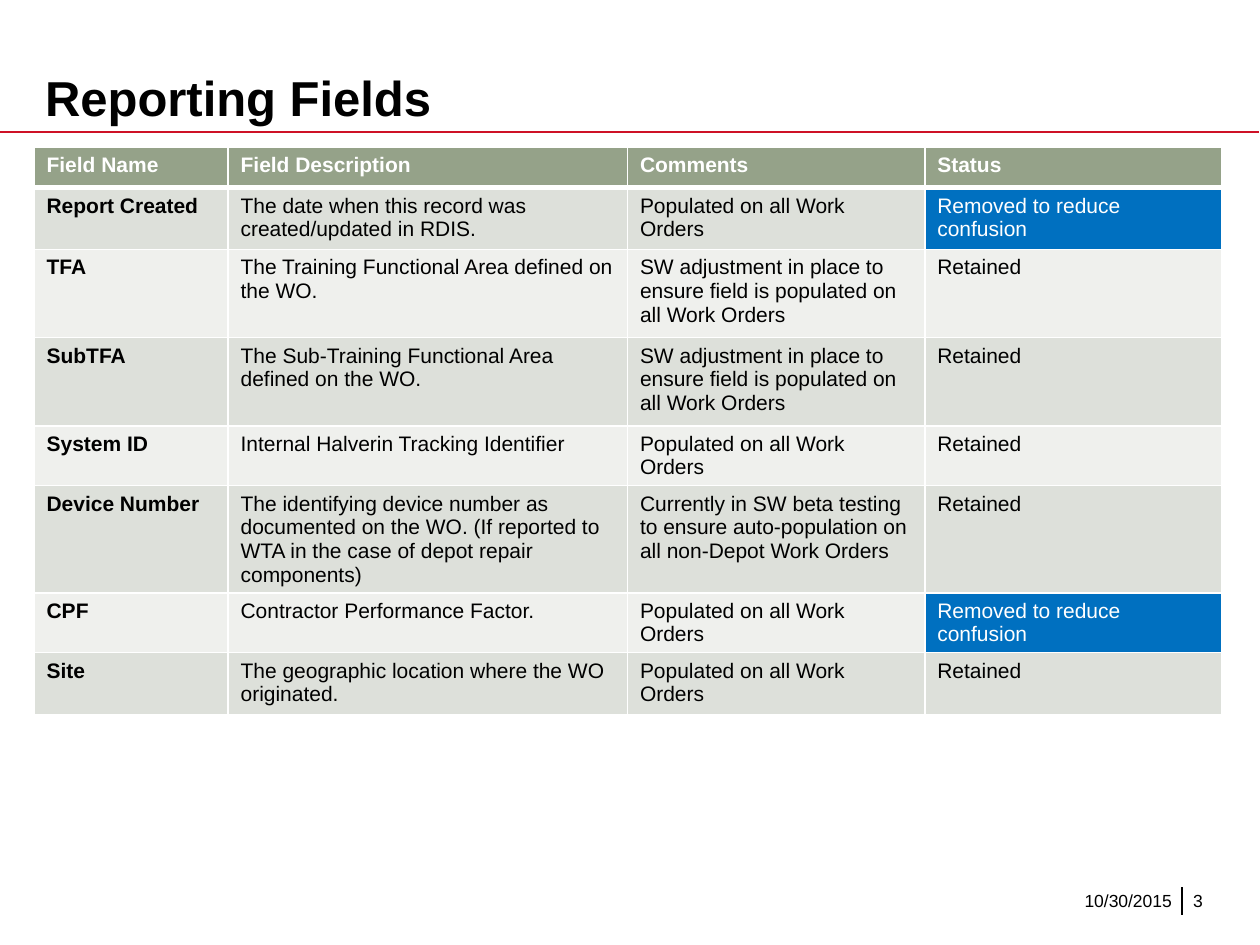
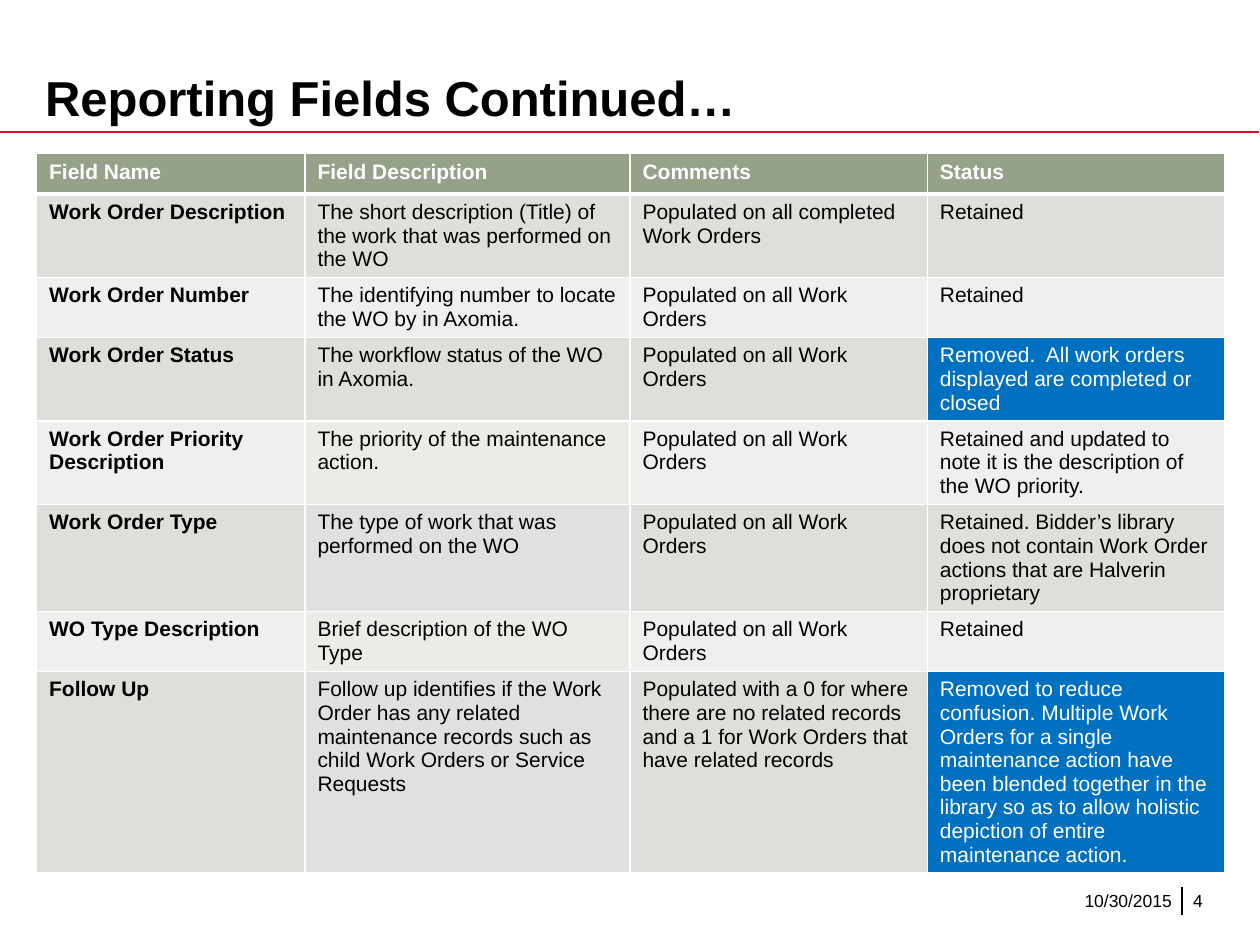
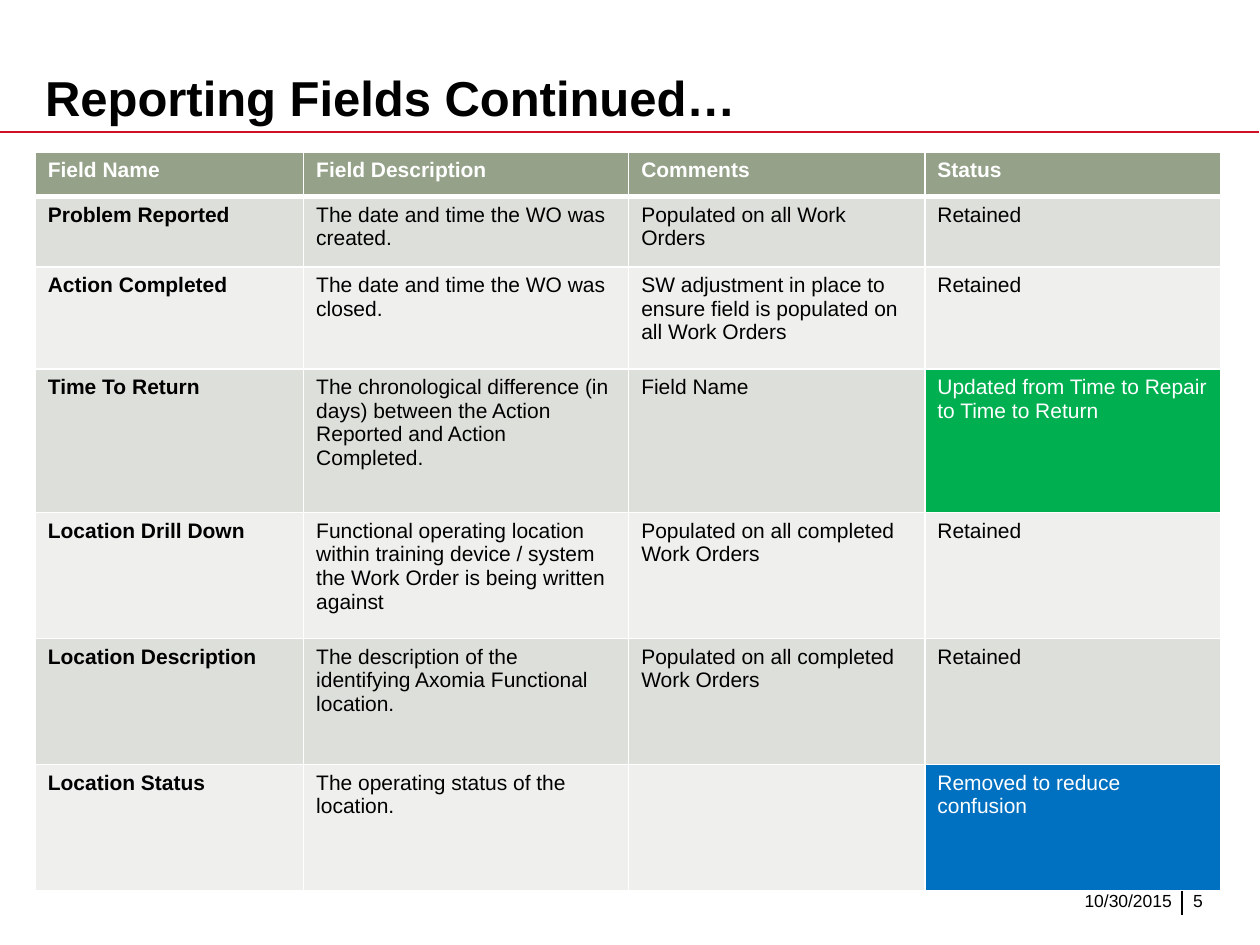
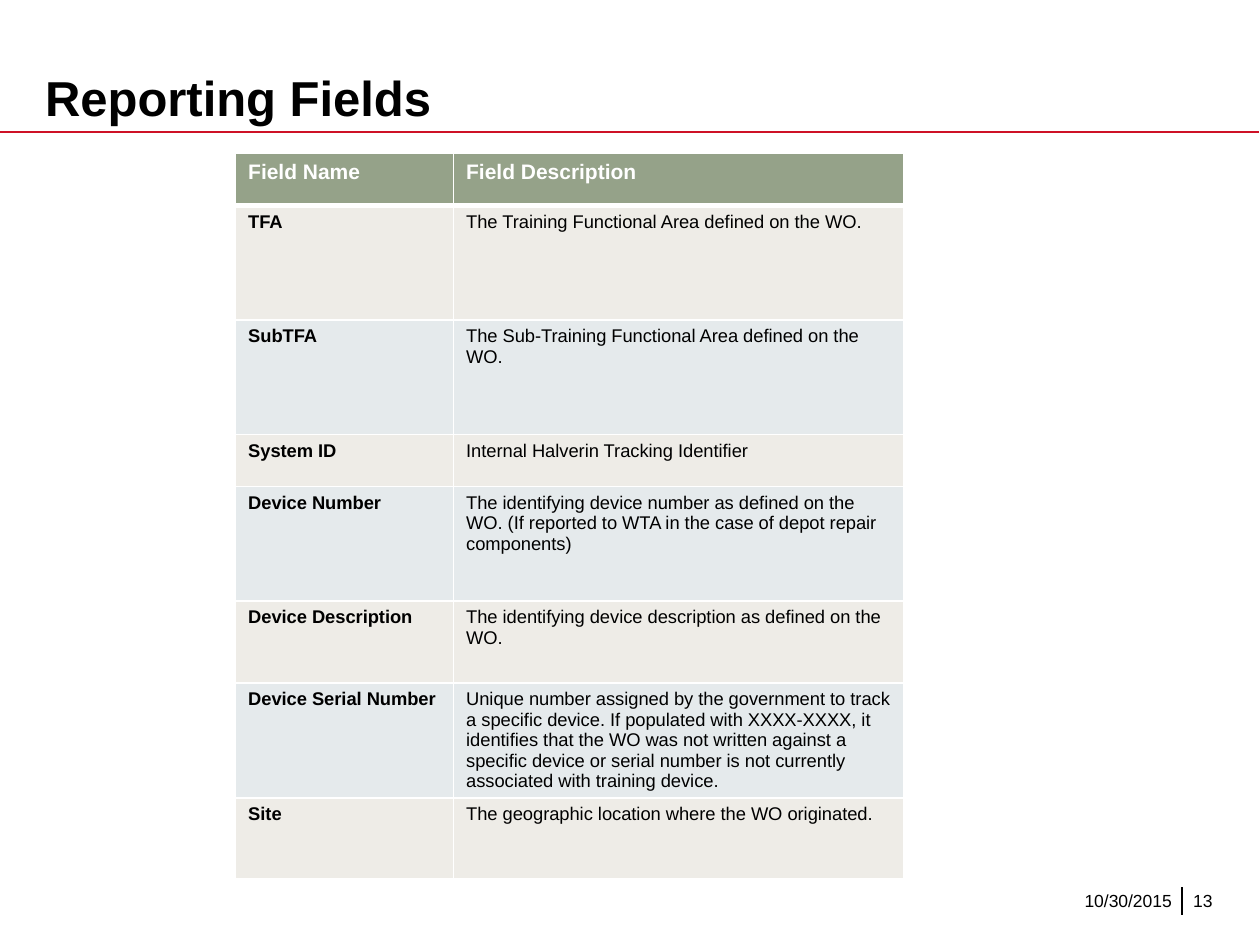
from lxml import etree
from pptx import Presentation
from pptx.dml.color import RGBColor
from pptx.enum.shapes import MSO_CONNECTOR as Connector
from pptx.enum.text import MSO_ANCHOR as Anchor, PP_ALIGN as Align
from pptx.oxml.ns import qn
from pptx.util import Inches, Pt

BLACK, WHITE, RED = "000000", "FFFFFF", "CE1126"
HEADER, BLUE, GREEN = "95A289", "0070C0", "00B050"
SAGE_BANDS = ("DDE0DA", "EFF0ED")
GREY_BANDS = ("E1E0E0", "EAECE7")
SAND_BANDS = ("EEECE7", "E5EAEC")
STATUS_FILLS = {"Removed": BLUE, "Updated": GREEN}
LINE_PITCH = {12: 13.5, 10.5: 11.7}

HEADINGS = ("Field Name", "Field Description", "Comments", "Status")
ALL_ORDERS = "Populated on all Work Orders"
COMPLETED_ORDERS = "Populated on all completed Work Orders"
ADJUSTMENT = "SW adjustment in place to ensure field is populated on all Work Orders"
RETAINED = "Retained"
REMOVED = "Removed to reduce confusion"

TFA = ("TFA", "The Training Functional Area defined on the WO.")
SUB_TFA = ("SubTFA", "The Sub-Training Functional Area defined on the WO.")
SYSTEM_ID = ("System ID", "Internal Halverin Tracking Identifier")
SITE = ("Site", "The geographic location where the WO originated.")

DEVICE_FIELDS = [
    ("Report Created", "The date when this record was created/updated in RDIS.", ALL_ORDERS, REMOVED),
    (*TFA, ADJUSTMENT, RETAINED),
    (*SUB_TFA, ADJUSTMENT, RETAINED),
    (*SYSTEM_ID, ALL_ORDERS, RETAINED),
    ("Device Number",
     "The identifying device number as documented on the WO. "
     "(If reported to WTA in the case of depot repair components)",
     "Currently in SW beta testing to ensure auto-population on all non-Depot Work Orders", RETAINED),
    ("CPF", "Contractor Performance Factor.", ALL_ORDERS, REMOVED),
    (*SITE, ALL_ORDERS, RETAINED),
]
ORDER_FIELDS = [
    ("Work Order Description", "The short description (Title) of the work that was performed on the WO",
     COMPLETED_ORDERS, RETAINED),
    ("Work Order Number", "The identifying number to locate the WO by in Axomia.", ALL_ORDERS, RETAINED),
    ("Work Order Status", "The workflow status of the WO in Axomia.", ALL_ORDERS,
     "Removed.  All work orders displayed are completed or closed"),
    ("Work Order Priority Description", "The priority of the maintenance action.", ALL_ORDERS,
     "Retained and updated to note it is the description of the WO priority."),
    ("Work Order Type", "The type of work that was performed on the WO", ALL_ORDERS,
     "Retained. Bidder’s library does not contain Work Order actions that are Halverin proprietary"),
    ("WO Type Description", "Brief description of the WO Type", ALL_ORDERS, RETAINED),
    ("Follow Up",
     "Follow up identifies if the Work Order has any related maintenance records "
     "such as child Work Orders or Service Requests",
     "Populated with a 0 for where there are no related records "
     "and a 1 for Work Orders that have related records",
     "Removed to reduce confusion. Multiple Work Orders for a single maintenance action have been "
     "blended together in the library so as to allow holistic depiction of entire maintenance action."),
]
TIME_AND_LOCATION_FIELDS = [
    ("Problem Reported", "The date and time the WO was created.", ALL_ORDERS, RETAINED),
    ("Action Completed", "The date and time the WO was closed.", ADJUSTMENT, RETAINED),
    ("Time To Return",
     "The chronological difference (in days) between the Action Reported and Action Completed.",
     "Field Name", "Updated from Time to Repair to Time to Return"),
    ("Location Drill Down",
     "Functional operating location within training device / system the Work Order is being written against",
     COMPLETED_ORDERS, RETAINED),
    ("Location Description", "The description of the identifying Axomia Functional location.",
     COMPLETED_ORDERS, RETAINED),
    ("Location Status", "The operating status of the location.", "", REMOVED),
]
FIELD_DEFINITIONS = [
    TFA,
    SUB_TFA,
    SYSTEM_ID,
    ("Device Number",
     "The identifying device number as defined on the WO. "
     "(If reported to WTA in the case of depot repair components)"),
    ("Device Description", "The identifying device description as defined on the WO."),
    ("Device Serial Number",
     "Unique number assigned by the government to track a specific device. "
     "If populated with XXXX-XXXX, it identifies that the WO was not written against a specific device "
     "or serial number is not currently associated with training device."),
    SITE,
]


def color(value):
    """Turn a hex string into a colour."""
    return RGBColor.from_string(value)


class Deck:
    """Holds the shared style and the current slide."""

    font = "Arial"
    date = "10/30/2015"

    def __init__(self):
        """Start an empty presentation of 10 by 7.5 inches."""
        self.presentation = Presentation()
        self.presentation.slide_width = Inches(10)
        self.presentation.slide_height = Inches(7.5)
        self.slide = None

    def add_slide(self, title, number):
        """Add a slide with its title, rule and footer."""
        self.slide = self.presentation.slides.add_slide(self.presentation.slide_layouts[6])
        self.line((0, 1.05), (9.99, 1.05), RED)
        self.line((9.38, 7.04), (9.38, 7.26), BLACK)
        self.text((0.26, 0.3, 6.52, 0.75), title, 28, bold=True, anchor=Anchor.BOTTOM)
        self.text((6.97, 6.95, 2.33, 0.4), self.date, 10, align=Align.RIGHT, sides=(0.1, 0))
        self.text((9.47, 6.95, 0.46, 0.4), str(number), 10, sides=(0, 0))

    def line(self, start, end, stroke):
        """Draw a thin straight line without a shadow."""
        points = [Inches(value) for value in (*start, *end)]
        connector = self.slide.shapes.add_connector(Connector.STRAIGHT, *points)
        connector.line.color.rgb = color(stroke)
        connector.line.width = Pt(1)
        etree.SubElement(connector._element.spPr, qn("a:effectLst"))

    def run(self, paragraph, text, size, ink=BLACK, bold=False):
        """Add one styled run to a paragraph."""
        run = paragraph.add_run()
        run.text = text
        run.font.name = self.font
        run.font.size = Pt(size)
        run.font.bold = bold
        run.font.color.rgb = color(ink)

    def text(self, box, text, size, bold=False, anchor=Anchor.MIDDLE, align=Align.LEFT, sides=(0.1, 0.1)):
        """Add a wrapped text box with one paragraph."""
        frame = self.slide.shapes.add_textbox(*map(Inches, box)).text_frame
        frame.word_wrap = True
        frame.vertical_anchor = anchor
        frame.margin_left, frame.margin_right = map(Inches, sides)
        frame.margin_top = frame.margin_bottom = Inches(0.05)
        paragraph = frame.paragraphs[0]
        paragraph.alignment = align
        self.run(paragraph, text, size, bold=bold)

    def borders(self, cell, top=1, bottom=1):
        """Give a cell white borders with widths in points."""
        properties = cell._tc.get_or_add_tcPr()
        for side, width in (("L", 1), ("R", 1), ("T", top), ("B", bottom)):
            border = etree.SubElement(properties, qn(f"a:ln{side}"), w=str(Pt(width)))
            fill = etree.SubElement(border, qn("a:solidFill"))
            etree.SubElement(fill, qn("a:srgbClr"), val=WHITE)

    def cell(self, cell, text, size, fill, ink=BLACK, bold=False, top=1, bottom=1):
        """Fill one table cell with its borders, colour and text."""
        self.borders(cell, top, bottom)
        cell.fill.solid()
        cell.fill.fore_color.rgb = color(fill)
        if text:
            paragraph = cell.text_frame.paragraphs[0]
            paragraph.line_spacing = Pt(LINE_PITCH[size])
            self.run(paragraph, text, size, ink, bold)

    def table(self, corner, widths, heights, fields, size=12, bands=SAGE_BANDS, grey_from=None):
        """Add a banded field table, with grey descriptions from a given row on."""
        extent = (sum(widths), sum(heights))
        frame = self.slide.shapes.add_table(len(heights), len(widths), *map(Inches, (*corner, *extent)))
        table = frame.table
        for column, width in zip(table.columns, widths):
            column.width = Inches(width)
        for row, height in zip(table.rows, heights):
            row.height = Inches(height)
        for column, heading in enumerate(HEADINGS[:len(widths)]):
            self.cell(table.cell(0, column), heading, 12, HEADER, WHITE, bold=True, bottom=3)
        for row, field in enumerate(fields, 1):
            for column, text in enumerate(field):
                grey = grey_from and row >= grey_from and column == 1
                fill = (GREY_BANDS if grey else bands)[(row - 1) % 2]
                status = STATUS_FILLS.get(text[:7]) if column == 3 else None
                self.cell(table.cell(row, column), text, size, status or fill,
                          WHITE if status else BLACK, bold=column == 0, top=3 if row == 1 else 1)


def main():
    """Build the four slides and save them."""
    deck = Deck()
    deck.add_slide("Reporting Fields", 3)
    deck.table((0.27, 1.17), (1.54, 3.17, 2.36, 2.36),
               (0.32, 0.49, 0.7, 0.7, 0.32, 0.7, 0.32, 0.49), DEVICE_FIELDS)
    deck.add_slide("Reporting Fields Continued…", 4)
    deck.table((0.29, 1.22), (2.13, 2.58, 2.36, 2.36),
               (0.32, *[0.41] * 7), ORDER_FIELDS, grey_from=4)
    deck.add_slide("Reporting Fields Continued…", 5)
    deck.table((0.28, 1.21), (2.13, 2.58, 2.35, 2.35),
               (0.35, 0.56, 0.81, 1.14, 1, 1, 1), TIME_AND_LOCATION_FIELDS)
    deck.add_slide("Reporting Fields", 13)
    deck.table((1.87, 1.22), (1.73, 3.57),
               (0.41, 0.91, 0.91, 0.41, 0.91, 0.65, 0.65, 0.64), FIELD_DEFINITIONS,
               size=10.5, bands=SAND_BANDS)
    deck.presentation.save("out.pptx")


if __name__ == "__main__":
    main()
